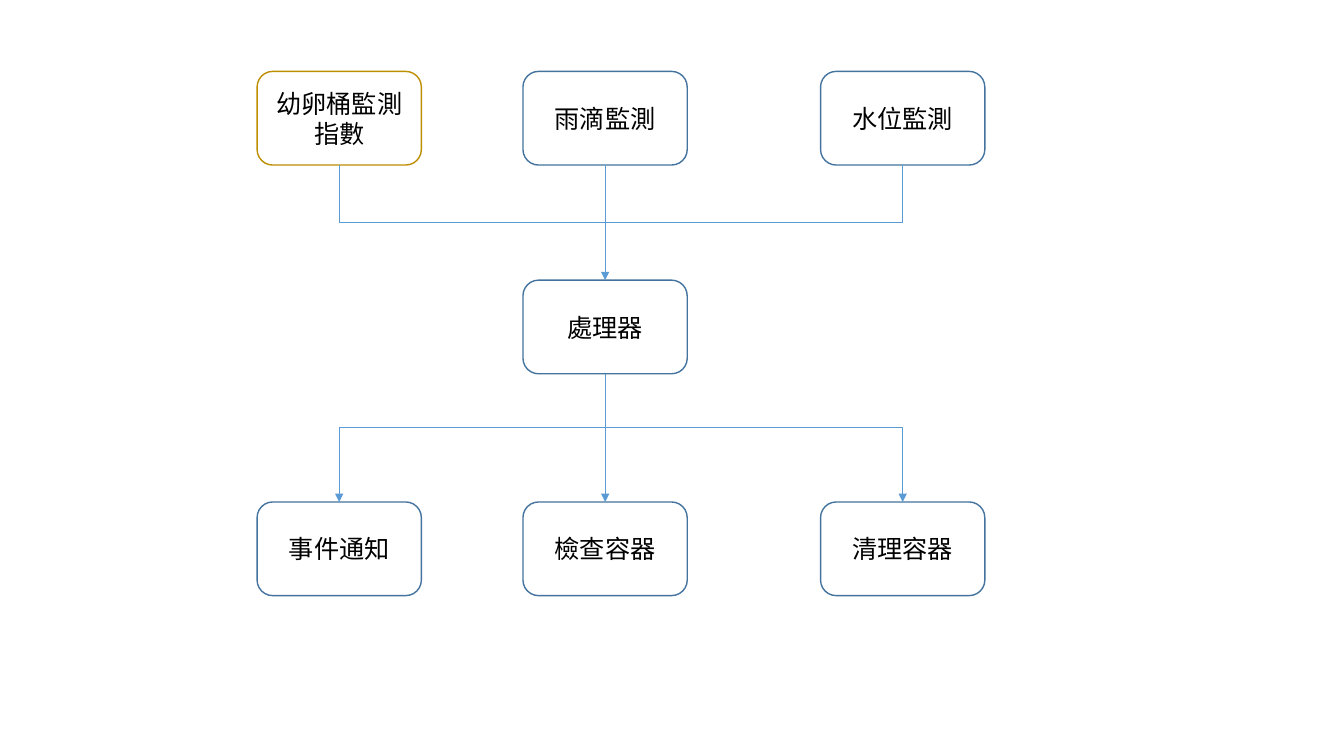
from dataclasses import dataclass
from pptx import Presentation
from pptx.dml.color import RGBColor
from pptx.enum.shapes import MSO_CONNECTOR, MSO_SHAPE
from pptx.enum.text import MSO_ANCHOR, PP_ALIGN
from pptx.oxml.ns import qn
from pptx.util import Cm, Pt
from lxml import etree

ROUNDED = MSO_SHAPE.ROUNDED_RECTANGLE
STRAIGHT, ELBOW = MSO_CONNECTOR.STRAIGHT, MSO_CONNECTOR.ELBOW
MIDDLE, CENTER = MSO_ANCHOR.MIDDLE, PP_ALIGN.CENTER


@dataclass(frozen=True)
class Theme:
    font: str = "Calibri"
    size: int = 18
    text: str = "000000"
    fill: str = "FFFFFF"
    border: str = "43739E"
    accent: str = "BD8E00"
    link: str = "5B9BD5"
    border_width: float = 1
    link_width: float = 0.5


THEME = Theme()
NODE_W, NODE_H = 4.14, 2.36
COLUMNS = (0, 6.7, 14.2)
SENSOR_Y, PROCESSOR_Y, ACTION_Y = 0, 5.26, 10.85
SENSORS = ("幼卵桶監測指數", "雨滴監測", "水位監測")
ACTIONS = ("事件通知", "檢查容器", "清理容器")


def rgb(value):
    return RGBColor.from_string(value)


def add_node(s, x, y, label, border=THEME.border):
    sp = s.shapes.add_shape(ROUNDED, Cm(x), Cm(y), Cm(NODE_W), Cm(NODE_H))
    sp.shadow.inherit = False
    sp.fill.solid()
    sp.fill.fore_color.rgb = rgb(THEME.fill)
    sp.line.color.rgb = rgb(border)
    sp.line.width = Pt(THEME.border_width)
    tf = sp.text_frame
    tf.word_wrap = True
    tf.vertical_anchor = MIDDLE
    p = tf.paragraphs[0]
    p.alignment = CENTER
    r = p.add_run()
    r.text = label
    r.font.name = THEME.font
    r.font.size = Pt(THEME.size)
    r.font.color.rgb = rgb(THEME.text)


def add_link(s, kind, start, end, arrow=True):
    cx = s.shapes.add_connector(kind, *(Cm(v) for v in start + end))
    cx.line.color.rgb = rgb(THEME.link)
    cx.line.width = Pt(THEME.link_width)
    props = cx._element.spPr
    if kind == ELBOW:
        props.find(qn("a:prstGeom")).set("prst", "bentConnector2")
    if arrow:
        etree.SubElement(props.find(qn("a:ln")), qn("a:tailEnd"), type="triangle")
    etree.SubElement(props, qn("a:effectLst"))


def add_flow(s, left, top):
    columns = [left + x for x in COLUMNS]
    sensor_y, processor_y, action_y = (top + y for y in (SENSOR_Y, PROCESSOR_Y, ACTION_Y))
    for x, sensor, action in zip(columns, SENSORS, ACTIONS):
        add_node(s, x, sensor_y, sensor, THEME.accent if x == left else THEME.border)
        add_node(s, x, action_y, action)
    add_node(s, columns[1], processor_y, "處理器")

    first, hub, last = (x + NODE_W / 2 for x in columns)
    sensor_end, processor_end = sensor_y + NODE_H, processor_y + NODE_H
    merge_y = (sensor_end + processor_y) / 2
    split_y = processor_end + 0.42 * (action_y - processor_end)
    add_link(s, STRAIGHT, (hub, sensor_end), (hub, processor_y))
    add_link(s, STRAIGHT, (hub, processor_end), (hub, action_y))
    for x in (first, last):
        add_link(s, ELBOW, (hub, merge_y), (x, sensor_end), arrow=False)
        add_link(s, ELBOW, (hub, split_y), (x, action_y))


prs = Presentation()
prs.slide_width, prs.slide_height = Cm(33.87), Cm(19.05)
s = prs.slides.add_slide(prs.slide_layouts[6])
add_flow(s, 6.48, 1.8)
prs.save("out.pptx")
